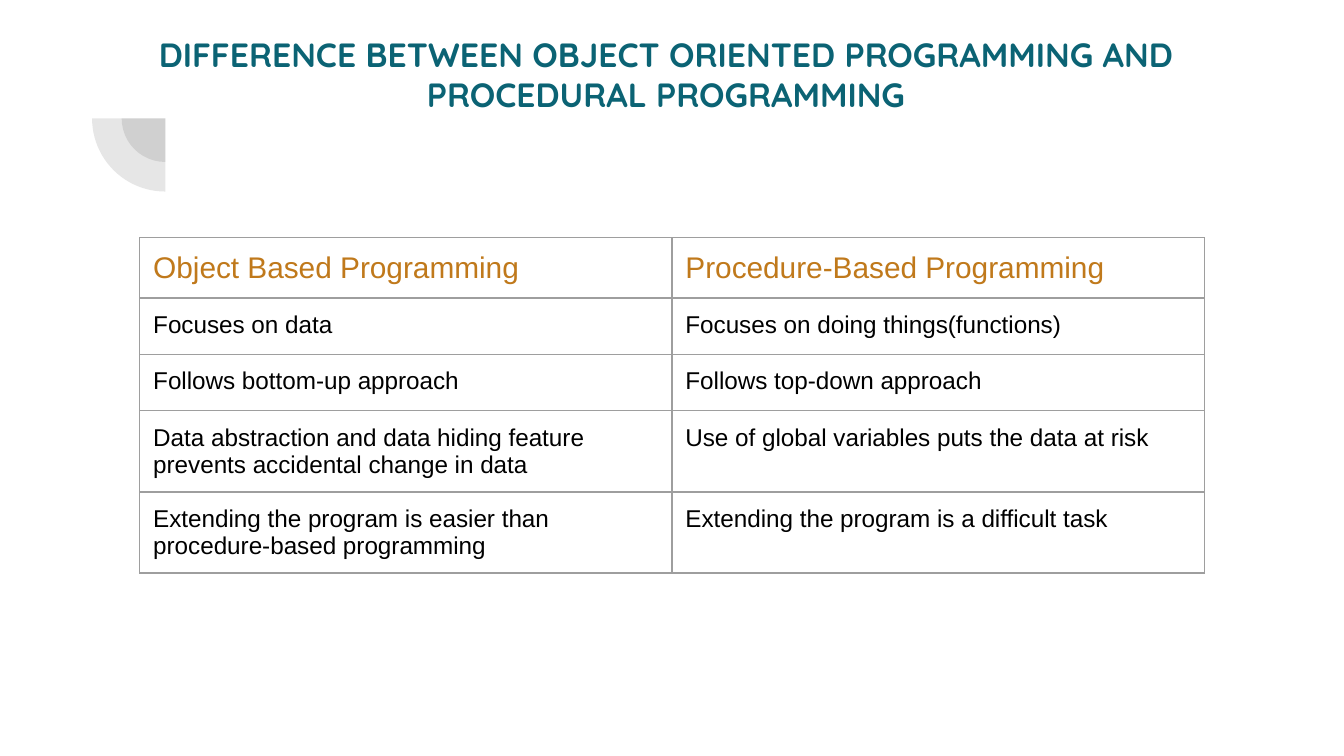
from pptx import Presentation
from pptx.dml.color import RGBColor
from pptx.enum.shapes import MSO_SHAPE as Shape
from pptx.enum.text import MSO_ANCHOR as Anchor, MSO_AUTO_SIZE as AutoSize, PP_ALIGN as Align
from pptx.oxml.ns import qn
from pptx.util import Inches, Pt
from lxml.etree import SubElement

# Content
TITLE = "DIFFERENCE BETWEEN OBJECT ORIENTED PROGRAMMING AND PROCEDURAL PROGRAMMING"
ROWS = [
    ("Object Based Programming", "Procedure-Based Programming"),
    ("Focuses on data", "Focuses on doing things(functions)"),
    ("Follows bottom-up approach", "Follows top-down approach"),
    ("Data abstraction and data hiding feature prevents accidental change in data",
     "Use of global variables puts the data at risk"),
    ("Extending the program is easier than procedure-based programming",
     "Extending the program is a difficult task"),
]

# Style and layout, in inches
COLORS = {"title": "0B6374", "heading": "C0791B", "body": "000000",
          "border": "9E9E9E", "arc": "424242"}
SLIDE_WIDTH = 10
SLIDE_HEIGHT = SLIDE_WIDTH * 9 / 16
ARC_CENTER = (1.23, 0.88)
ARC_DIAMETERS = (0.65, 1.09)
ARC_OPACITY = 13
COLUMN_WIDTH, ROW_HEIGHT = 3.96, 0.42
INSET = Inches(0.1)


def add_text(paragraph, text, font_name, size, color, bold=False):
    run = paragraph.add_run()
    run.text = text
    font = run.font
    font.name, font.size, font.bold = font_name, Pt(size), bold
    font.color.rgb = RGBColor.from_string(COLORS[color])


def set_insets(holder):
    holder.margin_left = holder.margin_right = INSET
    holder.margin_top = holder.margin_bottom = INSET


def add_borders(cell):
    properties = cell._tc.get_or_add_tcPr()
    for side in ("a:lnL", "a:lnR", "a:lnT", "a:lnB"):
        line = SubElement(properties, qn(side), w=str(Pt(0.75)))
        fill = SubElement(line, qn("a:solidFill"))
        SubElement(fill, qn("a:srgbClr"), val=COLORS["border"])


presentation = Presentation()
presentation.slide_width = Inches(SLIDE_WIDTH)
presentation.slide_height = Inches(SLIDE_HEIGHT)
slide = presentation.slides.add_slide(presentation.slide_layouts[5])

# Title
title = slide.shapes.title
title.left, title.top = Inches(0.32), Inches(0.15)
title.width, title.height = Inches(9.27), Inches(0.81)
frame = title.text_frame
frame.word_wrap, frame.auto_size = True, AutoSize.NONE
frame.vertical_anchor = Anchor.TOP
set_insets(frame)
paragraph = frame.paragraphs[0]
paragraph.alignment = Align.CENTER
add_text(paragraph, TITLE, "Quicksand", 18, "title", bold=True)

# Concentric quarter circles
for diameter in ARC_DIAMETERS:
    left, top = (Inches(center - diameter / 2) for center in ARC_CENTER)
    arc = slide.shapes.add_shape(Shape.PIE, left, top, Inches(diameter), Inches(diameter))
    arc.adjustments[0], arc.adjustments[1] = 54, 108  # 90 to 180 degrees
    arc.shadow.inherit = False
    arc.line.fill.background()
    arc.fill.solid()
    arc.fill.fore_color.rgb = RGBColor.from_string(COLORS["arc"])
    color = arc._element.spPr.find(qn("a:solidFill"))[0]
    SubElement(color, qn("a:alpha"), val=str(ARC_OPACITY * 1000))

# Comparison table
table = slide.shapes.add_table(
    len(ROWS), len(ROWS[0]), Inches(1.04), Inches(1.77),
    Inches(COLUMN_WIDTH * len(ROWS[0])), Inches(ROW_HEIGHT * len(ROWS))).table
table.first_row = table.horz_banding = False
for row_index, texts in enumerate(ROWS):
    size, color = (16, "heading") if row_index == 0 else (13, "body")
    for column_index, text in enumerate(texts):
        cell = table.cell(row_index, column_index)
        set_insets(cell)
        add_borders(cell)
        cell.fill.background()
        add_text(cell.text_frame.paragraphs[0], text, "Arial", size, color)

presentation.save("out.pptx")
